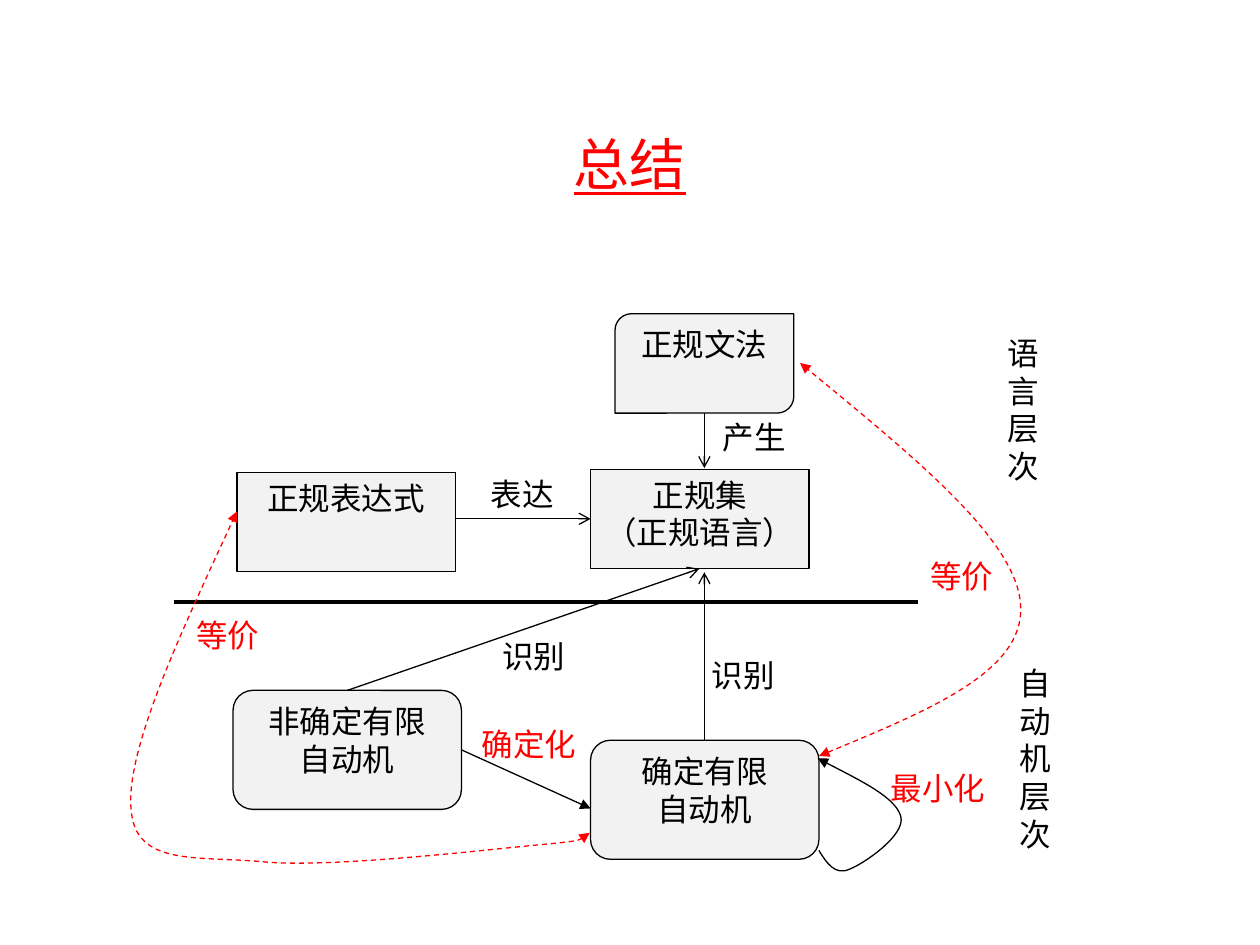
"""Build a summary slide on regular languages and finite automata."""
from dataclasses import dataclass

from lxml import etree
from pptx import Presentation
from pptx.dml.color import RGBColor
from pptx.enum.dml import MSO_LINE
from pptx.enum.shapes import MSO_CONNECTOR, MSO_SHAPE
from pptx.enum.text import MSO_ANCHOR, MSO_AUTO_SIZE, PP_ALIGN
from pptx.oxml.ns import qn
from pptx.util import Pt

RECTANGLE = MSO_SHAPE.RECTANGLE
ROUNDED = MSO_SHAPE.ROUNDED_RECTANGLE
DIAGONAL = MSO_SHAPE.ROUND_2_DIAG_RECTANGLE
STRAIGHT = MSO_CONNECTOR.STRAIGHT
DASH = MSO_LINE.DASH
TOP, MIDDLE = MSO_ANCHOR.TOP, MSO_ANCHOR.MIDDLE
CENTER, LEFT = PP_ALIGN.CENTER, PP_ALIGN.LEFT
FIT_SHAPE = MSO_AUTO_SIZE.SHAPE_TO_FIT_TEXT
TITLE_ONLY = 5


@dataclass(frozen=True)
class Theme:
    """Colours, font and sizes of the slide."""
    ink: RGBColor = RGBColor(0, 0, 0)
    accent: RGBColor = RGBColor(255, 0, 0)
    panel: RGBColor = RGBColor(242, 242, 242)
    font: str = "Times New Roman"
    title_size: float = 32
    body_size: float = 18
    thin: float = 0.75
    thick: float = 2.25


class Diagram:
    """Draws styled elements on the current slide, in points."""

    def __init__(self, slide, theme):
        self.slide = slide
        self.theme = theme

    def set_text(self, frame, lines, color, size, alignment):
        """Fill a text frame with one paragraph per line."""
        for index, line in enumerate(lines):
            paragraph = frame.add_paragraph() if index else frame.paragraphs[0]
            paragraph.text = line
            paragraph.alignment = alignment
            paragraph.font.name = self.theme.font
            paragraph.font.size = Pt(size)
            paragraph.font.color.rgb = color

    def title(self, text, *bounds):
        """Place and format the title placeholder."""
        shape = self.slide.shapes.title
        shape.left, shape.top, shape.width, shape.height = map(Pt, bounds)
        frame = shape.text_frame
        frame.vertical_anchor = MIDDLE
        self.set_text(frame, [text], self.theme.accent, self.theme.title_size, CENTER)
        frame.paragraphs[0].font.underline = True

    def stroke(self, shape, color, width, head=None, tail=None, dash=None):
        """Set the line style and arrowheads of a shape."""
        shape.line.color.rgb = color
        shape.line.width = Pt(width)
        if dash:
            shape.line.dash_style = dash
        outline = shape._element.spPr.find(qn("a:ln"))
        for tag, kind in (("a:headEnd", head), ("a:tailEnd", tail)):
            if kind:
                etree.SubElement(outline, qn(tag), type=kind)

    def box(self, kind, lines, *bounds):
        """Add a filled node with centred text."""
        shape = self.slide.shapes.add_shape(kind, *map(Pt, bounds))
        shape.shadow.inherit = False
        shape.fill.solid()
        shape.fill.fore_color.rgb = self.theme.panel
        self.stroke(shape, self.theme.ink, self.theme.thin)
        shape.text_frame.vertical_anchor = TOP
        self.set_text(shape.text_frame, lines, self.theme.ink, self.theme.body_size, CENTER)

    def label(self, lines, color, *bounds):
        """Add an unwrapped text label."""
        frame = self.slide.shapes.add_textbox(*map(Pt, bounds)).text_frame
        frame.word_wrap = False
        frame.auto_size = FIT_SHAPE
        self.set_text(frame, lines, color, self.theme.body_size, LEFT)

    def line(self, start, end, width, tail=None):
        """Add a straight line or arrow."""
        connector = self.slide.shapes.add_connector(STRAIGHT, *map(Pt, start + end))
        self.stroke(connector, self.theme.ink, width, tail=tail)
        etree.SubElement(connector._element.spPr, qn("a:effectLst"))

    def curve(self, points, color, head=None, dash=None):
        """Add a Bezier arrow: a start, then three points per segment."""
        start, *rest = [(Pt(x), Pt(y)) for x, y in points]
        builder = self.slide.shapes.build_freeform(*start)
        builder.add_line_segments(rest, close=False)
        shape = builder.convert_to_shape()
        shape.shadow.inherit = False
        shape.fill.background()
        self.stroke(shape, color, self.theme.thin, head, "triangle", dash)
        steps = list(shape._element.iter(qn("a:lnTo")))
        for index in range(0, len(steps), 3):
            segment = etree.Element(qn("a:cubicBezTo"))
            steps[index].addprevious(segment)
            for step in steps[index:index + 3]:
                segment.append(step[0])
                step.getparent().remove(step)


def main():
    """Assemble and save the slide."""
    presentation = Presentation()
    presentation.slide_width, presentation.slide_height = Pt(720), Pt(540)
    slide = presentation.slides.add_slide(presentation.slide_layouts[TITLE_ONLY])
    theme = Theme()
    diagram = Diagram(slide, theme)
    diagram.title("总结", 54, 48, 612, 90)

    automaton, language = (130.5, 68), (124.8, 56.8)
    for kind, lines, position, size in (
        (ROUNDED, ["非确定有限", "自动机"], (133.2, 394.5), automaton),
        (ROUNDED, ["确定有限", "自动机"], (337.5, 423), automaton),
        (RECTANGLE, ["正规表达式"], (135.4, 270), language),
        (RECTANGLE, ["正规集", "（正规语言）"], (337.5, 268.3), language),
        (DIAGONAL, ["正规文法"], (351.4, 179.3), (102.2, 56.8)),
    ):
        diagram.box(kind, lines, *position, *size)

    diagram.line((99.2, 343.8), (524.4, 343.8), theme.thick)
    for start, end, tail in (
        ((402.5, 236), (402.5, 267.5), "arrow"),
        ((260.5, 296.5), (337.5, 296.5), "arrow"),
        ((198.5, 394.5), (399.6, 325), "arrow"),
        ((402.5, 423), (402.5, 327), "arrow"),
        ((263.7, 428.5), (337.5, 462), "triangle"),
    ):
        diagram.line(start, end, theme.thin, tail)

    for text, color, left, top in (
        ("产生", theme.ink, 406, 235.4),
        ("表达", theme.ink, 273.4, 267.8),
        ("识别", theme.ink, 280, 360.2),
        ("识别", theme.ink, 399.6, 371.5),
        ("确定化", theme.accent, 268.3, 411),
        ("最小化", theme.accent, 502, 435.8),
        ("等价", theme.accent, 524.4, 314.8),
        ("等价", theme.accent, 105, 348.6),
    ):
        diagram.label([text], color, left, top, 15 + 18 * len(text), 29)
    for text, left, top in (("语言层次", 568.8, 187.2), ("自动机层次", 575.5, 375.8)):
        diagram.label(list(text), theme.ink, left, top, 32.4, 7.2 + 21.8 * len(text))

    diagram.curve([(468, 486), (472.3, 493.2), (477.4, 500.4), (485.3, 496.8),
                   (493.2, 493.9), (517.7, 477.4), (514.8, 466.6),
                   (511.9, 455.8), (489.6, 445), (467.3, 433.4)], theme.ink)
    for points in (
        [(468, 432), (527, 407.5), (585.4, 383.8), (583.2, 346.3),
         (581.8, 308.9), (519.1, 258.5), (457.2, 207.4)],
        [(337, 475.9), (336.2, 478.1), (335.5, 480.2), (304.6, 483.1),
         (273.6, 486), (188.6, 496.1), (150.5, 492.5),
         (112.3, 488.9), (77, 495.4), (74.9, 462.2),
         (72, 428.4), (103.7, 360.7), (135.4, 292.3)],
    ):
        diagram.curve(points, theme.accent, "triangle", DASH)

    presentation.save("out.pptx")


if __name__ == "__main__":
    main()
